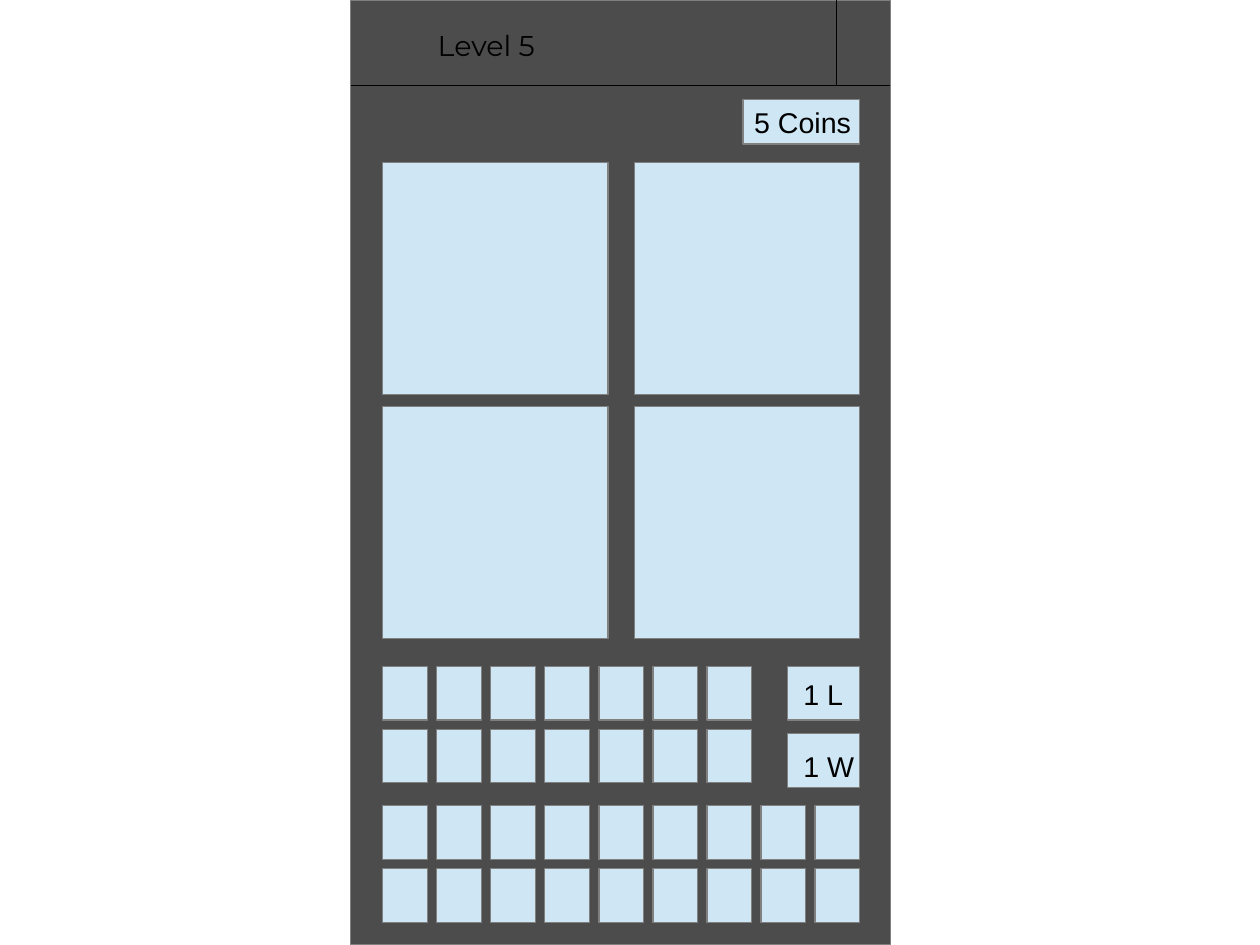
from dataclasses import dataclass

from lxml.etree import SubElement
from pptx import Presentation
from pptx.dml.color import RGBColor
from pptx.enum.shapes import MSO_CONNECTOR as Connector, MSO_SHAPE as Preset
from pptx.enum.text import MSO_ANCHOR as Anchor, MSO_AUTO_SIZE as AutoSize, PP_ALIGN as Align
from pptx.oxml.ns import qn
from pptx.util import Inches, Pt

COLORS = {"screen": "4C4C4C", "tile": "CFE7F5", "border": "808080", "ink": "000000"}
BORDER = Pt(0.75)
CM_PER_INCH = 2.54
SLIDE_WIDTH, SLIDE_HEIGHT = 28 / CM_PER_INCH, 21 / CM_PER_INCH


@dataclass(frozen=True)
class Box:
    left: float
    top: float
    width: float
    height: float

    def lengths(self) -> list[int]:
        return [Inches(v) for v in (self.left, self.top, self.width, self.height)]


@dataclass(frozen=True)
class Grid:
    first: Box
    columns: int
    rows: int
    column_step: float
    row_step: float


@dataclass(frozen=True)
class Label:
    text: str
    box: Box
    font: str = "Arial"
    align: Align = Align.LEFT
    anchor: Anchor = Anchor.TOP


def color(name: str) -> RGBColor:
    return RGBColor.from_string(COLORS[name])


def draw_panel(slide, box: Box, fill: str = "tile") -> None:
    panel = slide.shapes.add_shape(Preset.RECTANGLE, *box.lengths())
    panel.shadow.inherit = False
    panel.fill.solid()
    panel.fill.fore_color.rgb = color(fill)
    panel.line.color.rgb = color("border")
    panel.line.width = BORDER


def draw_grid(slide, grid: Grid) -> None:
    first = grid.first
    for row in range(grid.rows):
        for column in range(grid.columns):
            left = first.left + column * grid.column_step
            top = first.top + row * grid.row_step
            draw_panel(slide, Box(left, top, first.width, first.height))


def draw_divider(slide, x1: float, y1: float, x2: float, y2: float) -> None:
    ends = [Inches(v) for v in (x1, y1, x2, y2)]
    divider = slide.shapes.add_connector(Connector.STRAIGHT, *ends)
    divider.line.color.rgb = color("ink")
    divider.line.width = BORDER
    SubElement(divider._element.spPr, qn("a:effectLst"))


def draw_label(slide, label: Label) -> None:
    frame = slide.shapes.add_textbox(*label.box.lengths()).text_frame
    frame_format = {
        "word_wrap": False,
        "auto_size": AutoSize.NONE,
        "vertical_anchor": label.anchor,
    }
    for attribute, value in frame_format.items():
        setattr(frame, attribute, value)
    paragraph = frame.paragraphs[0]
    paragraph.alignment = label.align
    run = paragraph.add_run()
    run.text = label.text
    for attribute, value in {"name": label.font, "size": Pt(18)}.items():
        setattr(run.font, attribute, value)
    run.font.color.rgb = color("ink")


SCREEN = Box(3.07, 0, 4.72, SLIDE_HEIGHT)
HEADER_BOTTOM = 0.75
MENU_LEFT = 7.32
BOARD_LEFT, BOARD_RIGHT = 3.35, 7.52
PHOTO_WIDTH, PHOTO_HEIGHT = 1.97, 2.03
LETTER_WIDTH, LETTER_HEIGHT = 0.39, 0.47
LETTER_COLUMNS = 9
LETTER_STEP = (BOARD_RIGHT - BOARD_LEFT - LETTER_WIDTH) / (LETTER_COLUMNS - 1)
LETTER_ROW_STEP = 0.55
ANSWER_TOP, KEYBOARD_TOP = 5.83, 7.05
HINT_WIDTH, HINT_STEP = 0.63, 0.59

GRIDS = [
    Grid(Box(BOARD_LEFT, 1.42, PHOTO_WIDTH, PHOTO_HEIGHT), 2, 2, 2.2, 2.14),
    Grid(Box(BOARD_LEFT, ANSWER_TOP, LETTER_WIDTH, LETTER_HEIGHT),
         7, 2, LETTER_STEP, LETTER_ROW_STEP),
    Grid(Box(BOARD_LEFT, KEYBOARD_TOP, LETTER_WIDTH, LETTER_HEIGHT),
         LETTER_COLUMNS, 2, LETTER_STEP, LETTER_ROW_STEP),
    Grid(Box(BOARD_RIGHT - HINT_WIDTH, ANSWER_TOP, HINT_WIDTH, LETTER_HEIGHT),
         1, 2, 0, HINT_STEP),
]
LABELS = [
    Label("Level 5", Box(3.23, 0.24, 2.05, 0.31), "Montserrat", Align.CENTER, Anchor.MIDDLE),
    Label("5 Coins", Box(6.5, 0.87, 1.04, 0.38)),
    Label("1 L", Box(6.93, 5.87, 0.63, 0.38)),
    Label("1 W", Box(6.93, 6.5, 0.79, 0.38)),
]


def main() -> None:
    deck = Presentation()
    deck.slide_width, deck.slide_height = Inches(SLIDE_WIDTH), Inches(SLIDE_HEIGHT)
    slide = deck.slides.add_slide(deck.slide_layouts[6])

    draw_panel(slide, SCREEN, "screen")
    draw_divider(slide, SCREEN.left, HEADER_BOTTOM, SCREEN.left + SCREEN.width, HEADER_BOTTOM)
    draw_divider(slide, MENU_LEFT, 0, MENU_LEFT, HEADER_BOTTOM)
    draw_panel(slide, Box(6.5, 0.87, 1.02, 0.39))
    for grid in GRIDS:
        draw_grid(slide, grid)
    for label in LABELS:
        draw_label(slide, label)

    deck.save("out.pptx")


main()
